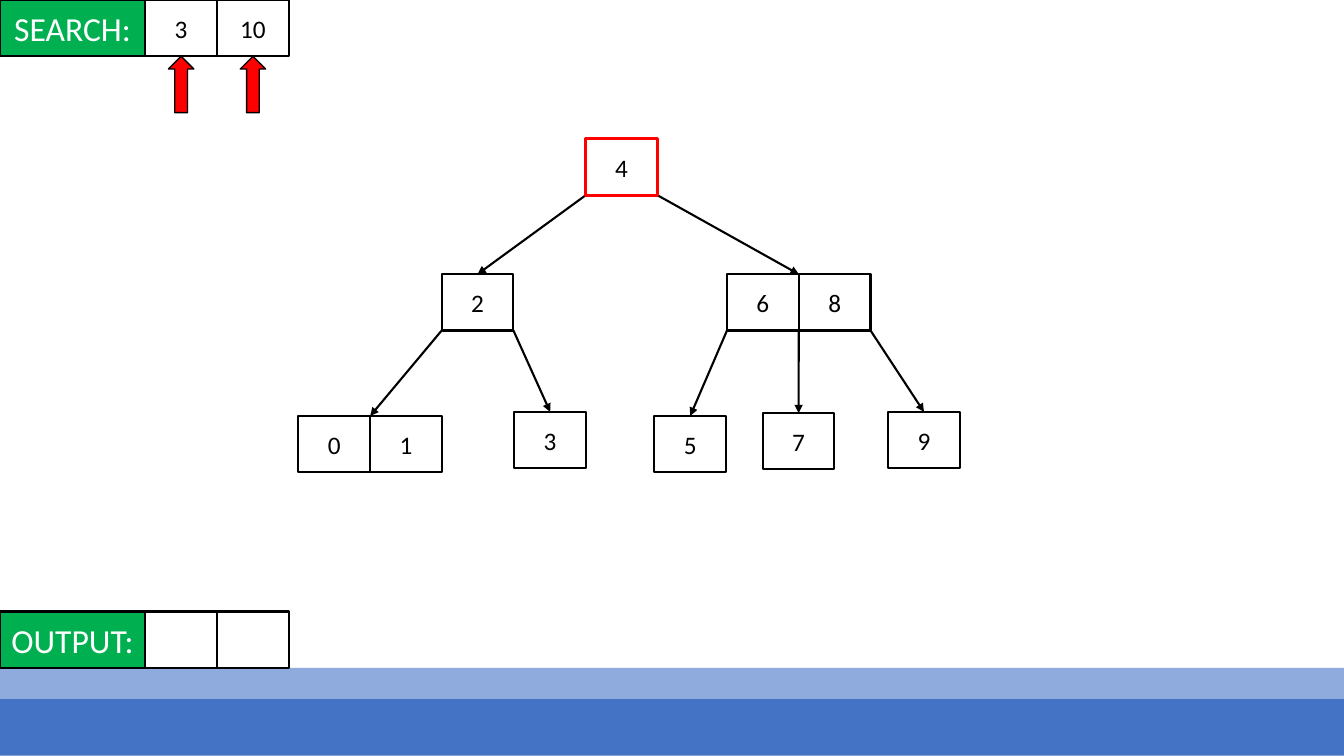
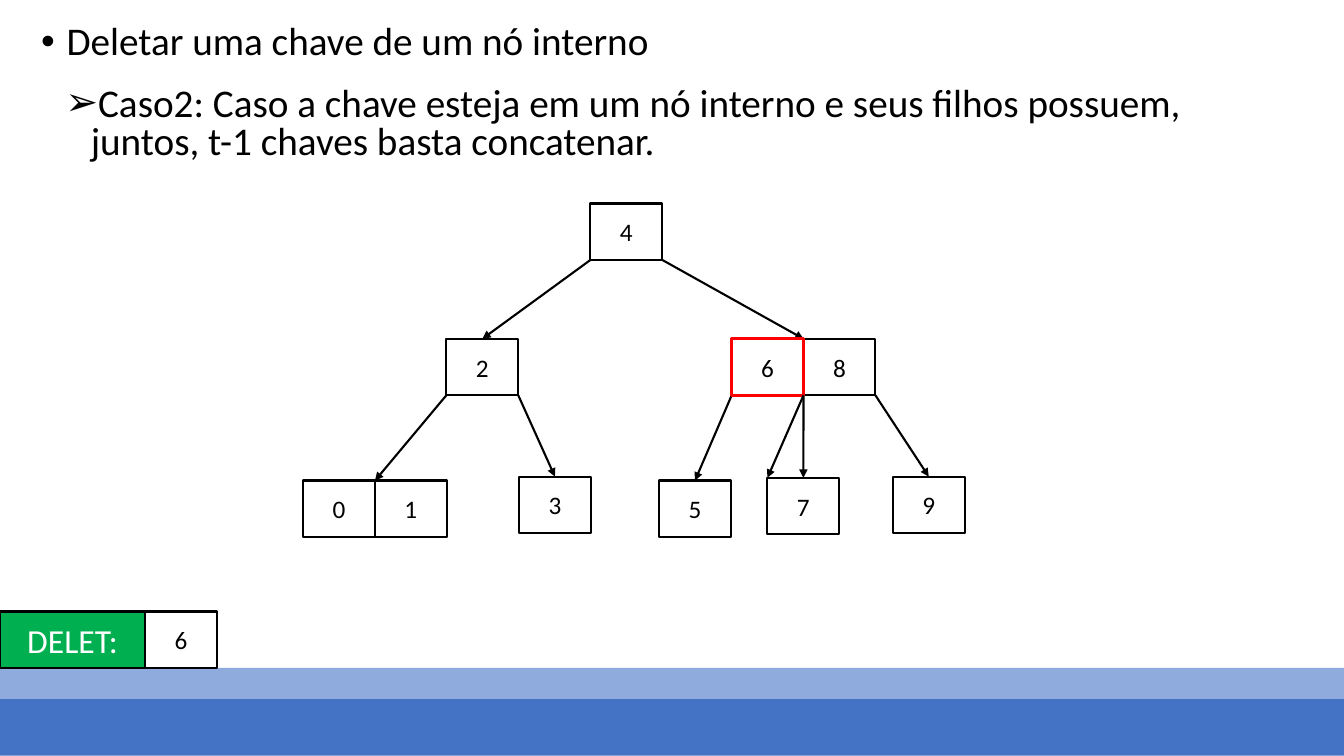
from collections import namedtuple

from lxml import etree
from pptx import Presentation
from pptx.dml.color import RGBColor
from pptx.enum.shapes import MSO_CONNECTOR, MSO_SHAPE
from pptx.enum.text import MSO_ANCHOR, PP_ALIGN
from pptx.oxml.ns import qn
from pptx.util import Cm, Pt

COLORS = {
    "light_band": "8FAADC",
    "dark_band": "4472C4",
    "label": "00B050",
    "accent": "FF0000",
    "ink": "000000",
    "paper": "FFFFFF",
}
FONT = "Calibri"
SLIDE_W, SLIDE_H = 33.87, 19.05
CELL_W, CELL_H = 1.81, 1.42
LABEL_W = 3.66
BAND_TOP = 16.83

# Offsets are in cm from the top left corner of the root.
Node = namedtuple("Node", "keys dx dy children")
TREE = Node("4", 0, 0, [
    Node("2", -3.63, 3.41, [
        Node("01", -7.24, 6.98, []),
        Node("3", -1.8, 6.88, []),
    ]),
    Node("68", 3.56, 3.41, [
        Node("5", 1.73, 6.98, []),
        Node("7", 4.46, 6.91, []),
        Node("9", 7.62, 6.88, []),
    ]),
])


def color(name):
    return RGBColor.from_string(COLORS[name])


def style_text(paragraph, size, ink):
    for run in paragraph.runs:
        run.font.name = FONT
        run.font.size = Pt(size)
        run.font.color.rgb = color(ink)


def add_box(slide, left, top, width, height, fill=None, line=None,
            line_width=1.5, kind=MSO_SHAPE.RECTANGLE):
    box = slide.shapes.add_shape(kind, Cm(left), Cm(top), Cm(width), Cm(height))
    box.shadow.inherit = False
    if fill:
        box.fill.solid()
        box.fill.fore_color.rgb = color(fill)
    else:
        box.fill.background()
    if line:
        box.line.color.rgb = color(line)
        box.line.width = Pt(line_width)
    else:
        box.line.fill.background()
    return box


def add_cell(slide, left, top, text, width=CELL_W, fill="paper", size=18, ink="ink"):
    cell = add_box(slide, left, top, width, CELL_H, fill, "ink")
    if text:
        frame = cell.text_frame
        frame.margin_left = frame.margin_right = Cm(0)
        frame.vertical_anchor = MSO_ANCHOR.MIDDLE
        frame.text = text
        frame.paragraphs[0].alignment = PP_ALIGN.CENTER
        style_text(frame.paragraphs[0], size, ink)
    return cell


def add_labelled_row(slide, top, label, values):
    add_cell(slide, 0, top, label, LABEL_W, "label", 24, "paper")
    for i, value in enumerate(values):
        add_cell(slide, LABEL_W + i * CELL_W, top, value)


def add_pointer(slide, index):
    """Red arrow pointing up at one value of the top row."""
    width = 0.64
    left = LABEL_W + index * CELL_W + (CELL_W - width) / 2
    add_box(slide, left, CELL_H, width, CELL_H, "accent", "ink", 1,
            MSO_SHAPE.UP_ARROW)


def add_arrow(slide, start, end):
    arrow = slide.shapes.add_connector(
        MSO_CONNECTOR.STRAIGHT, *(Cm(value) for value in (*start, *end)))
    arrow.line.color.rgb = color("ink")
    arrow.line.width = Pt(1.5)
    etree.SubElement(arrow.line._get_or_add_ln(), qn("a:tailEnd"), type="triangle")
    etree.SubElement(arrow._element.spPr, qn("a:effectLst"))
    return arrow


def add_tree(slide, node, left, top):
    """Draw a node, its subtrees and the arrows to them; return its cells."""
    x, y = left + node.dx, top + node.dy
    cells = [add_cell(slide, x + i * CELL_W, y, key)
             for i, key in enumerate(node.keys)]
    for i, child in enumerate(node.children):
        child_cells = add_tree(slide, child, left, top)
        child_middle = left + child.dx + len(child.keys) * CELL_W / 2
        arrow = add_arrow(slide, (x + i * CELL_W, y + CELL_H),
                          (child_middle, top + child.dy))
        if len(child_cells) == 1:
            arrow.end_connect(child_cells[0], 0)
    return cells


def add_highlight(slide, left, top):
    add_box(slide, left, top, CELL_W, CELL_H, line="accent", line_width=2.25)


def add_bullet(slide, left, top, width, height, text, bullet, spacing):
    box = slide.shapes.add_textbox(Cm(left), Cm(top), Cm(width), Cm(height))
    frame = box.text_frame
    frame.word_wrap = True
    frame.text = text
    paragraph = frame.paragraphs[0]
    paragraph.line_spacing = spacing
    paragraph.space_before = Pt(10)
    style_text(paragraph, 28, "ink")
    props = paragraph._p.get_or_add_pPr()
    indent = Cm(0.64)
    props.set("marL", str(indent))
    props.set("indent", str(-indent))
    etree.SubElement(props, qn("a:buFont"), typeface="Arial")
    etree.SubElement(props, qn("a:buChar"), char=bullet)


def add_slide(prs):
    """Add a blank slide with the two footer bands."""
    slide = prs.slides.add_slide(prs.slide_layouts[6])
    add_box(slide, 0, BAND_TOP, SLIDE_W, CELL_H, "light_band")
    add_box(slide, 0, BAND_TOP + 0.79, SLIDE_W, CELL_H, "dark_band")
    return slide


def build_search(prs):
    slide = add_slide(prs)
    left, top = 14.76, 3.5
    queries = ["3", "10"]
    add_labelled_row(slide, 0, "SEARCH:", queries)
    for i in range(len(queries)):
        add_pointer(slide, i)
    add_tree(slide, TREE, left, top)
    add_highlight(slide, left, top)
    add_labelled_row(slide, BAND_TOP - CELL_H, "OUTPUT:", [""] * len(queries))


def build_deletion(prs):
    slide = add_slide(prs)
    left, top = 14.88, 5.13
    add_tree(slide, TREE, left, top)
    add_bullet(slide, 0.79, 0.43, 29.21, 1.5,
               "Deletar uma chave de um nó interno", "•", 0.9)
    add_bullet(slide, 1.4, 2.08, 30.3, 2.31,
               "Caso2: Caso a chave esteja em um nó interno e seus filhos "
               "possuem, juntos, t-1 chaves basta concatenar.", "➢", 0.8)
    add_labelled_row(slide, BAND_TOP - CELL_H, "DELET:", ["6"])
    parent = TREE.children[1]
    sibling = parent.children[1]
    x, y = left + parent.dx, top + parent.dy
    add_highlight(slide, x, y)
    add_arrow(slide, (x + CELL_W, y + CELL_H),
              (left + sibling.dx, top + sibling.dy))


def main():
    prs = Presentation()
    prs.slide_width, prs.slide_height = Cm(SLIDE_W), Cm(SLIDE_H)
    build_search(prs)
    build_deletion(prs)
    prs.save("out.pptx")


if __name__ == "__main__":
    main()
